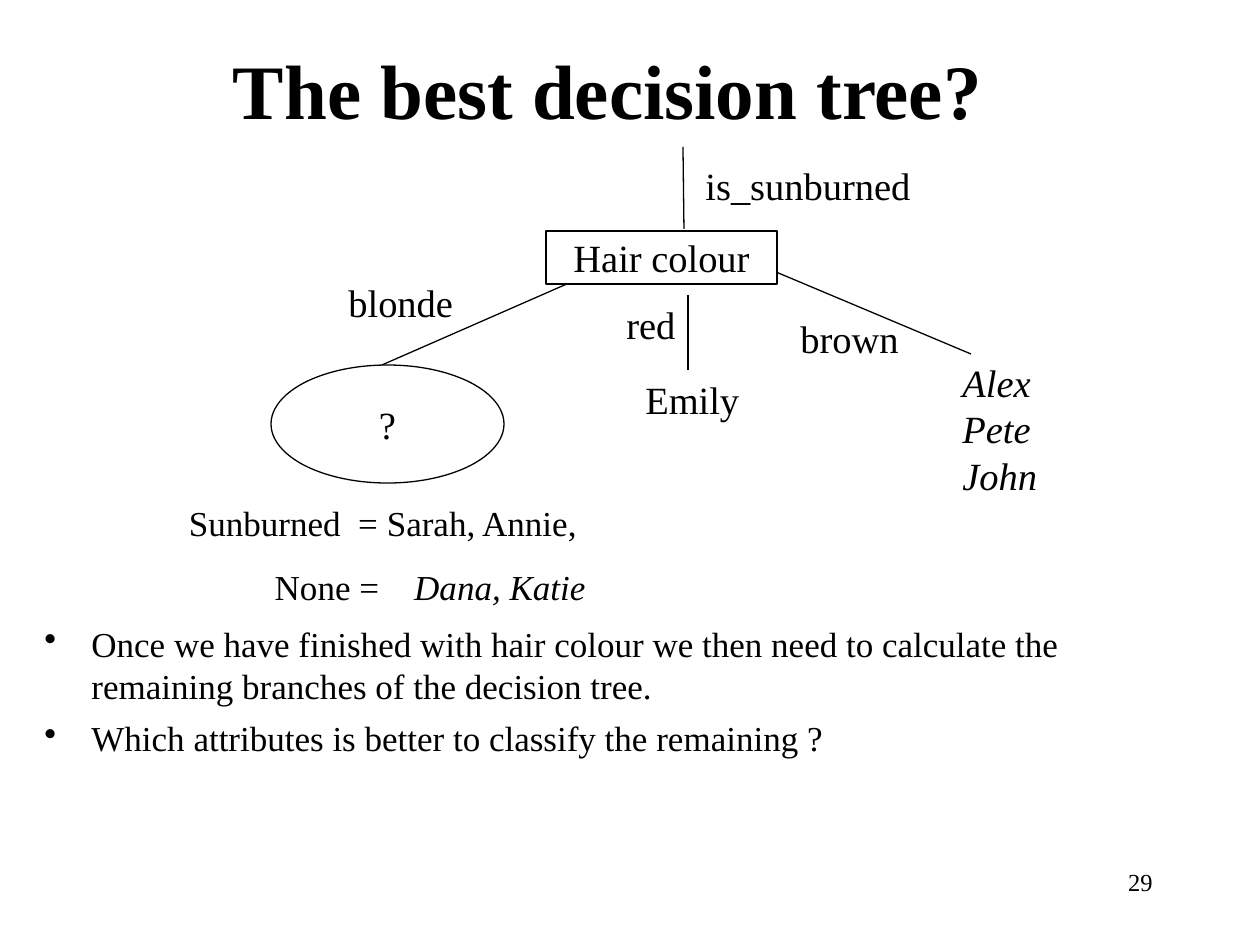
from lxml import etree
from pptx import Presentation
from pptx import util as u
from pptx.dml.color import RGBColor
from pptx.enum import shapes, text
from pptx.oxml.ns import qn

FONT = "Times New Roman"
BLACK, WHITE = "000000", "FFFFFF"
LEFT, CENTER, RIGHT = text.PP_ALIGN.LEFT, text.PP_ALIGN.CENTER, text.PP_ALIGN.RIGHT
LABEL_HEIGHT = 59


def px(value):
    return u.Emu(round(value * 914400 / 126))


def color(hex_string):
    return RGBColor.from_string(hex_string)


def write(shape, content, size, align=LEFT, bold=False, italic=False, wrap=True,
          anchor=text.MSO_ANCHOR.TOP):
    frame = shape.text_frame
    frame.text = content
    frame.word_wrap = wrap
    frame.vertical_anchor = anchor
    for paragraph in frame.paragraphs:
        paragraph.alignment = align
        for run in paragraph.runs:
            style(run, size, bold, italic)
    return frame


def style(run, size, bold=False, italic=False):
    run.font.name = FONT
    run.font.size = u.Pt(size)
    run.font.bold = bold
    run.font.italic = italic
    run.font.color.rgb = color(BLACK)


def add_text(slide, box, content, size, **options):
    shape = slide.shapes.add_textbox(*map(px, box))
    return write(shape, content, size, **options)


def add_node(slide, kind, box, content, fill=None):
    shape = slide.shapes.add_shape(kind, *map(px, box))
    shape.shadow.inherit = False
    if fill:
        shape.fill.solid()
        shape.fill.fore_color.rgb = color(fill)
    else:
        shape.fill.background()
    shape.line.color.rgb = color(BLACK)
    shape.line.width = u.Pt(0.75)
    write(shape, content, 22, align=CENTER, wrap=False, anchor=text.MSO_ANCHOR.MIDDLE)


def add_branch(slide, *ends):
    line = slide.shapes.add_connector(shapes.MSO_CONNECTOR.STRAIGHT, *map(px, ends))
    line.line.color.rgb = color(BLACK)
    line.line.width = u.Pt(0.75)
    etree.SubElement(line._element.spPr, qn("a:effectLst"))


def build_tree(slide, left, top):
    # Branches
    for x1, y1, x2, y2 in [(412, 0, 413, 82), (321, 126, 111, 218),
                           (417, 148, 417, 223), (505, 125, 700, 207)]:
        add_branch(slide, left + x1, top + y1, left + x2, top + y2)

    # Root and open node
    add_node(slide, shapes.MSO_SHAPE.RECTANGLE, (left + 275, top + 84, 231, 53),
             "Hair colour", fill=WHITE)
    add_node(slide, shapes.MSO_SHAPE.OVAL, (left, top + 218, 233, 118), "?")

    # Branch labels and single leaf
    for x, y, width, label in [(422, 9, 399, "is_sunburned"), (65, 126, 168, "blonde"),
                               (343, 148, 126, "red"), (517, 162, 168, "brown"),
                               (362, 223, 139, "Emily")]:
        add_text(slide, (left + x, top + y, width, LABEL_HEIGHT), label, 22)

    # Leaf under the brown branch
    add_text(slide, (left + 679, top + 206, 231, 151), "Alex\nPete\nJohn", 22, italic=True)


def build_outcomes(slide, box):
    frame = add_text(slide, box, "Sunburned  = Sarah, Annie, \nNone =", 20, align=RIGHT)
    none = frame.paragraphs[1]
    none.space_before = u.Pt(12.5)
    gap, names = none.add_run(), none.add_run()
    gap.text, names.text = " ", "Dana, Katie"
    style(gap, 20)
    gap.font._element.set("spc", "1500")  # widens the gap before the names
    style(names, 20, italic=True)


def build_bullets(slide, box, items):
    frame = add_text(slide, box, "\n".join(items), 20)
    indent = px(47)
    for index, paragraph in enumerate(frame.paragraphs):
        if index:
            paragraph.space_before = u.Pt(6)
        properties = paragraph._p.get_or_add_pPr()
        properties.set("marL", str(indent))
        properties.set("indent", str(-indent))
        etree.SubElement(properties, qn("a:buChar"), char="•")


def main():
    presentation = Presentation()
    presentation.slide_width, presentation.slide_height = px(1260), px(945)
    slide = presentation.slides.add_slide(presentation.slide_layouts[6])

    # Title
    add_text(slide, (53, 21, 1110, 136), "The best decision tree?", 44, align=CENTER,
             bold=True, anchor=text.MSO_ANCHOR.MIDDLE)

    # Decision tree and the cases still to split
    build_tree(slide, 271, 147)
    build_outcomes(slide, (73, 495, 525, 118))

    # Next step
    build_bullets(slide, (32, 616, 1113, 202), [
        "Once we have finished with hair colour we then need to calculate the "
        "remaining branches of the decision tree.",
        "Which attributes is better to classify the remaining ?",
    ])

    # Slide number
    add_text(slide, (903, 861, 262, 63), "29", 14, align=RIGHT)

    presentation.save("out.pptx")


if __name__ == "__main__":
    main()
